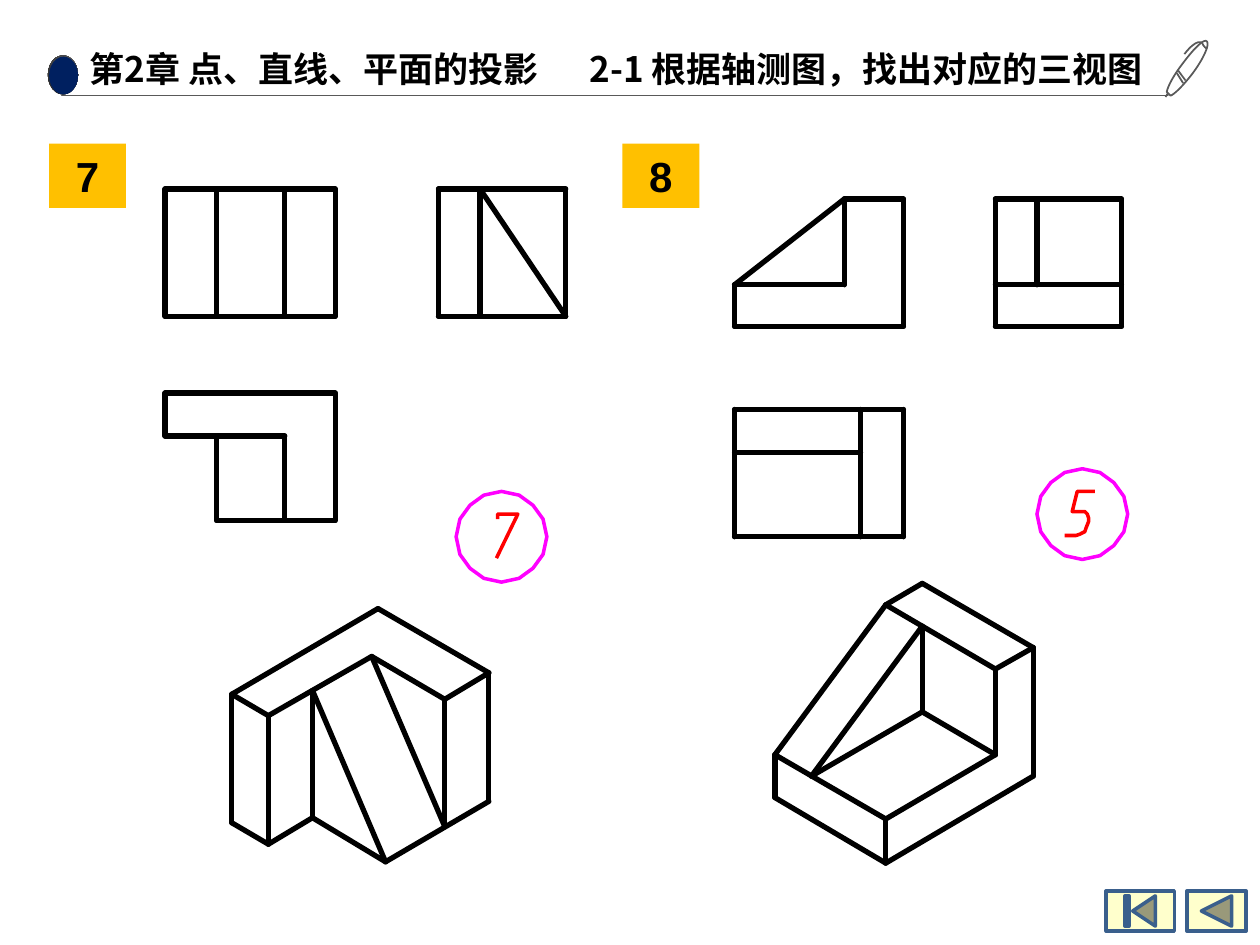
"""Build the slide that matches two solids with their three views."""
from math import cos, pi, sin

from lxml.etree import SubElement
from pptx import Presentation
from pptx.dml.color import RGBColor
from pptx.enum.shapes import MSO_CONNECTOR as Connector, MSO_SHAPE as Preset
from pptx.enum.text import MSO_ANCHOR as Anchor, MSO_AUTO_SIZE as AutoSize, PP_ALIGN as Align
from pptx.oxml.ns import qn
from pptx.util import Pt

PX = 9144
BLACK = RGBColor(0x00, 0x00, 0x00)
GRAY = RGBColor(0x59, 0x59, 0x59)
CHARCOAL = RGBColor(0x26, 0x26, 0x26)
NAVY = RGBColor(0x00, 0x20, 0x60)
AMBER = RGBColor(0xFF, 0xC0, 0x00)
MAGENTA = RGBColor(0xFF, 0x00, 0xFF)
RED = RGBColor(0xFF, 0x00, 0x00)
CREAM = RGBColor(0xFF, 0xFF, 0xCC)
STEEL = RGBColor(0x3A, 0x5F, 0x8C)
HEADING_FONT = "Noto Sans CJK SC"
NUMBER_FONT = "Arial"

PEN = [
    [(939, 66), (934, 58), (934, 58), (934, 58)],
    [(935, 56), (941, 64), (941, 64), (941, 64)],
    [(958, 33), (956, 30), (948, 38), (939, 50), (932, 59), (927, 68), (926, 73),
     (929, 76), (929, 76), (929, 76), (932, 75), (939, 68), (946, 59),
     (955, 47), (960, 36), (958, 33)],
    [(927, 74), (925, 77), (925, 77), (925, 77)],
    [(958, 39), (958, 39), (955, 37), (954, 34), (954, 34), (950, 30), (940, 43)],
]
DIGIT_FIVE = [(845, 425), (854, 425), (857, 424), (861, 422), (862, 419), (864, 414),
              (864, 411), (863, 408), (861, 406), (851, 406), (855, 390), (869, 390)]
DIGIT_SEVEN = [(394, 443), (411, 408), (395, 408), (395, 412)]


def outline(left, top, right, bottom):
    """Return the closed stroke around a rectangular view."""
    return [(left, top), (right, top), (right, bottom), (left, bottom), (left, top)]


SOLID_SEVEN = [
    [(184, 551), (184, 653), (213, 670), (213, 568), (184, 551), (300, 483),
     (388, 534), (388, 636), (306, 684), (248, 649), (213, 670)],
    [(213, 568), (295, 521), (353, 555), (388, 534)],
    [(353, 555), (353, 656), (295, 521)],
    [(306, 684), (248, 548), (248, 649)],
]
SOLID_EIGHT = [
    [(615, 599), (615, 633), (703, 685), (820, 616), (820, 514), (732, 463),
     (703, 480), (615, 599), (703, 650), (790, 599), (790, 531), (703, 480)],
    [(703, 685), (703, 650)],
    [(790, 531), (820, 514)],
    [(732, 565), (644, 616), (732, 497), (732, 565), (790, 599)],
]
VIEWS_EIGHT = [
    [(583, 226), (670, 158), (717, 158), (717, 259), (583, 259), (583, 226),
     (670, 226), (670, 158)],
    outline(790, 158, 890, 259),
    [(790, 226), (890, 226)],
    [(823, 226), (823, 158)],
    outline(583, 325, 717, 426),
    [(583, 359), (683, 359)],
    [(683, 325), (683, 426)],
]
VIEWS_SEVEN = [
    outline(131, 150, 266, 251),
    [(172, 150), (172, 251)],
    [(226, 150), (226, 251)],
    outline(348, 150, 449, 251),
    [(381, 251), (381, 150), (449, 251)],
    [(131, 346), (131, 312), (266, 312), (266, 413), (172, 413), (172, 346)],
    [(131, 346), (226, 346), (226, 413)],
]


class Sheet:
    """Hold the style and the current slide."""

    def __init__(self, presentation):
        """Add a title-only slide."""
        self.slide = presentation.slides.add_slide(presentation.slide_layouts[5])
        self.shapes = self.slide.shapes

    def text(self, shape, words, font, size, align=Align.LEFT, insets=(10, 5)):
        """Write one bold line into a shape."""
        frame = shape.text_frame
        frame.word_wrap = True
        frame.auto_size = AutoSize.SHAPE_TO_FIT_TEXT
        frame.vertical_anchor = Anchor.MIDDLE
        frame.margin_left = frame.margin_right = insets[0] * PX
        frame.margin_top = frame.margin_bottom = insets[1] * PX
        paragraph = frame.paragraphs[0]
        paragraph.alignment = align
        run = paragraph.add_run()
        run.text = words
        run.font.name, run.font.size, run.font.bold = font, Pt(size), True
        run.font.color.rgb = BLACK
        SubElement(run.font._element, qn("a:ea"), typeface=font)

    def title(self, left, top, width, height, words):
        """Place and fill the title placeholder."""
        title = self.shapes.title
        title.left, title.top = left * PX, top * PX
        title.width, title.height = width * PX, height * PX
        self.text(title, words, HEADING_FONT, 20, insets=(7, 4))

    def heading(self, left, top, width, height, words):
        """Add a heading beside the title."""
        box = self.shapes.add_textbox(left * PX, top * PX, width * PX, height * PX)
        self.text(box, words, HEADING_FONT, 20)

    def preset(self, kind, left, top, width, height, fill, line=None, shapes=None):
        """Add a filled preset shape."""
        shape = (shapes or self.shapes).add_shape(
            kind, left * PX, top * PX, width * PX, height * PX)
        shape.shadow.inherit = False
        shape.fill.solid()
        shape.fill.fore_color.rgb = fill
        if line is None:
            shape.line.fill.background()
        else:
            shape.line.color.rgb, shape.line.width = line, Pt(2)
        return shape

    def bullet(self):
        """Add the navy dot with its shaded rim."""
        shapes = self.shapes.add_group_shape().shapes
        rim = self.preset(Preset.OVAL, 38, 44, 24, 31, GRAY, shapes=shapes)
        rim.fill.gradient()
        for stop, color, position in zip(rim.fill.gradient_stops, (GRAY, CHARCOAL), (0, 1)):
            stop.color.rgb, stop.position = color, position
        gradient = rim.element.spPr.find(qn("a:gradFill"))
        gradient.remove(gradient.find(qn("a:lin")))
        shade = SubElement(gradient, qn("a:path"), {"path": "circle"})
        SubElement(shade, qn("a:fillToRect"), l="100000", b="100000")
        self.preset(Preset.OVAL, 39, 45, 23, 30, NAVY, shapes=shapes)

    def label(self, left, top, words):
        """Add an exercise number on amber."""
        shape = self.preset(Preset.RECTANGLE, left, top, 61, 51, AMBER)
        self.text(shape, words, NUMBER_FONT, 24, Align.CENTER)

    def line(self, start, end, color, width, shapes=None):
        """Add a straight connector."""
        connector = (shapes or self.shapes).add_connector(
            Connector.STRAIGHT, *(value * PX for value in start + end))
        connector.line.color.rgb, connector.line.width = color, Pt(width)
        properties = connector.element.spPr
        properties.find(qn("a:ln")).set("cap", "rnd")
        SubElement(properties, qn("a:effectLst"))

    def drawing(self, strokes):
        """Add a group of edges that follow the strokes."""
        shapes = self.shapes.add_group_shape().shapes
        for stroke in strokes:
            for start, end in zip(stroke, stroke[1:]):
                self.line(start, end, BLACK, 3, shapes)

    def freeform(self, strokes, color, width, shapes=None, close=False):
        """Add an unfilled outline of one or more strokes."""
        builder = (shapes or self.shapes).build_freeform(*strokes[0][0], scale=PX)
        for index, stroke in enumerate(strokes):
            if index:
                builder.move_to(*stroke[0])
            builder.add_line_segments(stroke[1:], close=close)
        shape = builder.convert_to_shape()
        shape.shadow.inherit = False
        shape.fill.background()
        shape.line.color.rgb, shape.line.width = color, Pt(width)
        return shape

    def curves(self, strokes, color, width):
        """Add an outline whose points are Bezier controls in threes."""
        shape = self.freeform(strokes, color, width)
        segments = list(shape.element.iter(qn("a:lnTo")))
        for first, second, third in zip(*[iter(segments)] * 3):
            curve = first.makeelement(qn("a:cubicBezTo"))
            first.addprevious(curve)
            for segment in (first, second, third):
                curve.append(segment[0])
                segment.getparent().remove(segment)

    def answer(self, x, y, digit):
        """Add a ringed answer digit."""
        shapes = self.shapes.add_group_shape().shapes
        ring = [(x + 36 * cos(step * pi / 8), y - 36 * sin(step * pi / 8)) for step in range(16)]
        self.freeform([ring], MAGENTA, 2, shapes, close=True)
        self.freeform([digit], RED, 2, shapes)


def main():
    """Build and save the slide."""
    presentation = Presentation()
    presentation.slide_width, presentation.slide_height = 1000 * PX, 750 * PX
    sheet = Sheet(presentation)
    sheet.bullet()
    sheet.title(64, 34, 407, 41, "第2章 点、直线、平面的投影")
    sheet.line((49, 76), (927, 76), GRAY, 0.75)
    sheet.curves(PEN, GRAY, 1)
    sheet.heading(458, 32, 474, 44, "2-1 根据轴测图，找出对应的三视图")
    sheet.preset(Preset.ACTION_BUTTON_BEGINNING, 878, 707, 54, 32, CREAM, STEEL)
    sheet.preset(Preset.ACTION_BUTTON_BACK_OR_PREVIOUS, 942, 707, 47, 32, CREAM, STEEL)
    sheet.answer(859, 408, DIGIT_FIVE)
    sheet.answer(398, 426, DIGIT_SEVEN)
    for strokes in (SOLID_SEVEN, SOLID_EIGHT, VIEWS_EIGHT, VIEWS_SEVEN):
        sheet.drawing(strokes)
    sheet.label(39, 114, "7")
    sheet.label(494, 114, "8")
    presentation.save("out.pptx")


if __name__ == "__main__":
    main()
